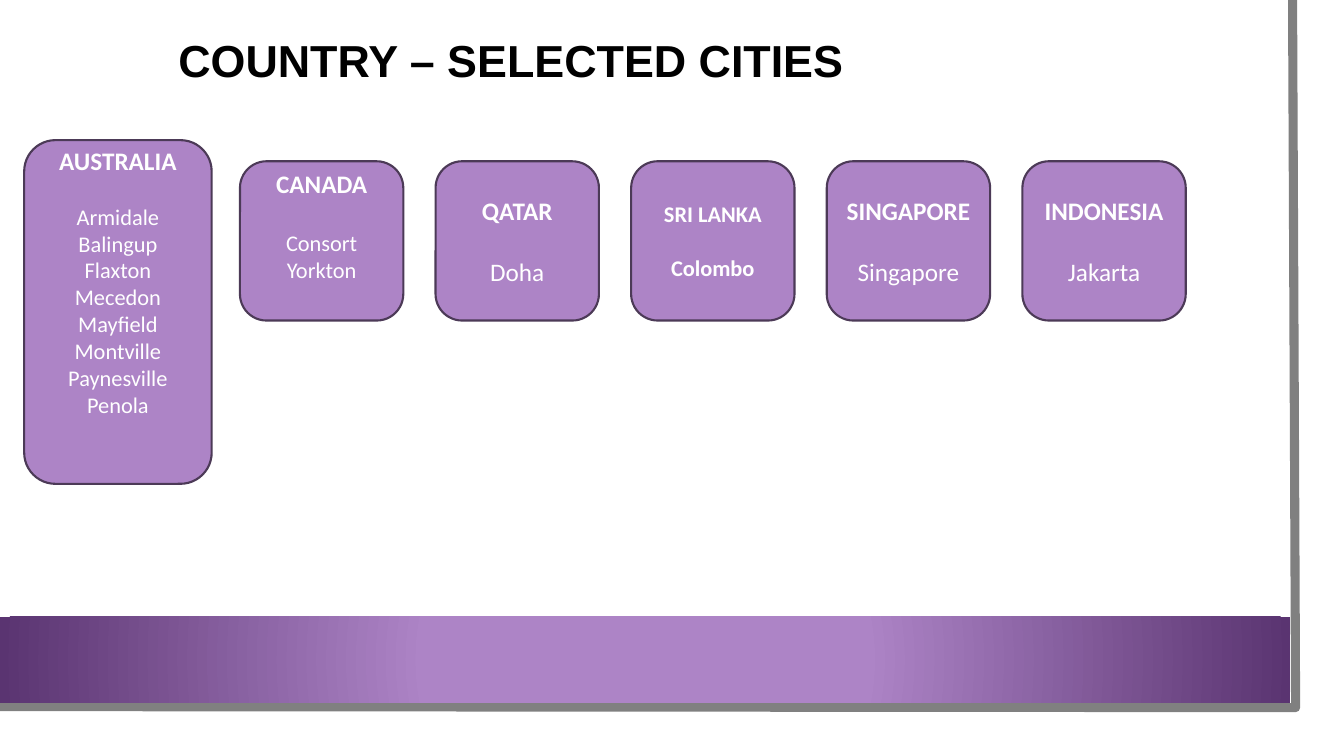
from lxml import etree
from pptx import Presentation
from pptx.dml.color import RGBColor
from pptx.enum.shapes import MSO_SHAPE as Shape
from pptx.enum.text import MSO_ANCHOR as Anchor, PP_ALIGN as Align
from pptx.oxml.ns import qn
from pptx.util import Inches, Pt

TITLE = "COUNTRY – SELECTED CITIES"
AUSTRALIAN_CITIES = ["Armidale", "Balingup", "Flaxton", "Mecedon",
                     "Mayfield", "Montville", "Paynesville", "Penola"]
# country, cities, heading size, gap size, city size, bold cities, free lines below
COUNTRIES = [
    ("AUSTRALIA", AUSTRALIAN_CITIES, 18, 16, 16, False, 2),
    ("CANADA", ["Consort", "Yorkton"], 18, 18, 16, False, 1),
    ("QATAR", ["Doha"], 18, 18, 18, False, 0),
    ("SRI LANKA", ["Colombo"], 16, 16, 16, True, 0),
    ("SINGAPORE", ["Singapore"], 18, 18, 18, False, 0),
    ("INDONESIA", ["Jakarta"], 18, 18, 18, False, 0),
]

BLACK = RGBColor(0x00, 0x00, 0x00)
WHITE = RGBColor(0xFF, 0xFF, 0xFF)
GREY = RGBColor(0x80, 0x80, 0x80)
LILAC = RGBColor(0xAD, 0x84, 0xC6)
PURPLE = RGBColor(0x5A, 0x34, 0x71)
OUTLINE = RGBColor(0x4C, 0x3A, 0x57)

WIDTH, HEIGHT = 13.33, 7.5
FIRST_CARD = (0.24, 1.39, 1.86, 3.41)
CARD_LEFT, CARD_TOP, CARD_WIDTH, CARD_HEIGHT = 2.38, 1.6, 1.62, 1.58
CARD_PITCH = 1.94
LINE_SPACING = 1.2
EDGE = [(12.82, 0), (12.85, 7.02), (0, 7.01)]
BAND = (0, 6.12, 12.8, 0.85)


def inches(values):
    return [Inches(value) for value in values]


def add_span(para, text, font, size, color, bold):
    span = para.add_run()
    span.text = text
    span.font.name = font
    span.font.size = Pt(size)
    span.font.color.rgb = color
    span.font.bold = bold


def add_edge(page):
    points = [tuple(inches(point)) for point in EDGE]
    builder = page.shapes.build_freeform(*points[0])
    builder.add_line_segments(points[1:], close=False)
    edge = builder.convert_to_shape()
    edge.shadow.inherit = False
    edge.fill.background()
    edge.line.color.rgb = GREY
    edge.line.width = Pt(6.5)


def add_band(page):
    band = page.shapes.add_shape(Shape.RECTANGLE, *inches(BAND))
    band.shadow.inherit = False
    band.line.fill.background()
    band.fill.gradient()
    for stop, position, color in zip(band.fill.gradient_stops, (0.34, 1), (LILAC, PURPLE)):
        stop.position = position
        stop.color.rgb = color
    gradient = band.element.spPr.find(qn("a:gradFill"))
    linear = gradient.find(qn("a:lin"))
    circle = etree.Element(qn("a:path"), {"path": "circle"})
    etree.SubElement(circle, qn("a:fillToRect"), dict.fromkeys("ltrb", "50000"))
    gradient.replace(linear, circle)


def add_title(page):
    box = page.shapes.add_textbox(*inches((1.67, 0.28, 7.75, 0.64)))
    box.text_frame.word_wrap = True
    add_span(box.text_frame.paragraphs[0], TITLE, "Arial", 32, BLACK, True)


def add_card(page, place, country, cities, head_size, gap_size, city_size, bold, free_lines):
    card = page.shapes.add_shape(Shape.ROUNDED_RECTANGLE, *inches(place))
    card.shadow.inherit = False
    card.fill.solid()
    card.fill.fore_color.rgb = LILAC
    card.line.color.rgb = OUTLINE
    card.line.width = Pt(1.5)
    frame = card.text_frame
    frame.word_wrap = True
    frame.vertical_anchor = Anchor.MIDDLE
    frame.margin_bottom = Inches(0.05) + Pt(free_lines * head_size * LINE_SPACING)
    heading = frame.paragraphs[0]
    heading.alignment = Align.CENTER
    heading.space_after = Pt(gap_size * LINE_SPACING)
    add_span(heading, country, "Calibri", head_size, WHITE, True)
    for city in cities:
        para = frame.add_paragraph()
        para.alignment = Align.CENTER
        add_span(para, city, "Calibri", city_size, WHITE, bold)


def main():
    deck = Presentation()
    deck.slide_width, deck.slide_height = inches((WIDTH, HEIGHT))
    page = deck.slides.add_slide(deck.slide_layouts[6])
    add_edge(page)
    add_band(page)
    add_title(page)
    add_card(page, FIRST_CARD, *COUNTRIES[0])
    for column, country in enumerate(COUNTRIES[1:]):
        left = CARD_LEFT + column * CARD_PITCH
        add_card(page, (left, CARD_TOP, CARD_WIDTH, CARD_HEIGHT), *country)
    deck.save("out.pptx")


if __name__ == "__main__":
    main()
